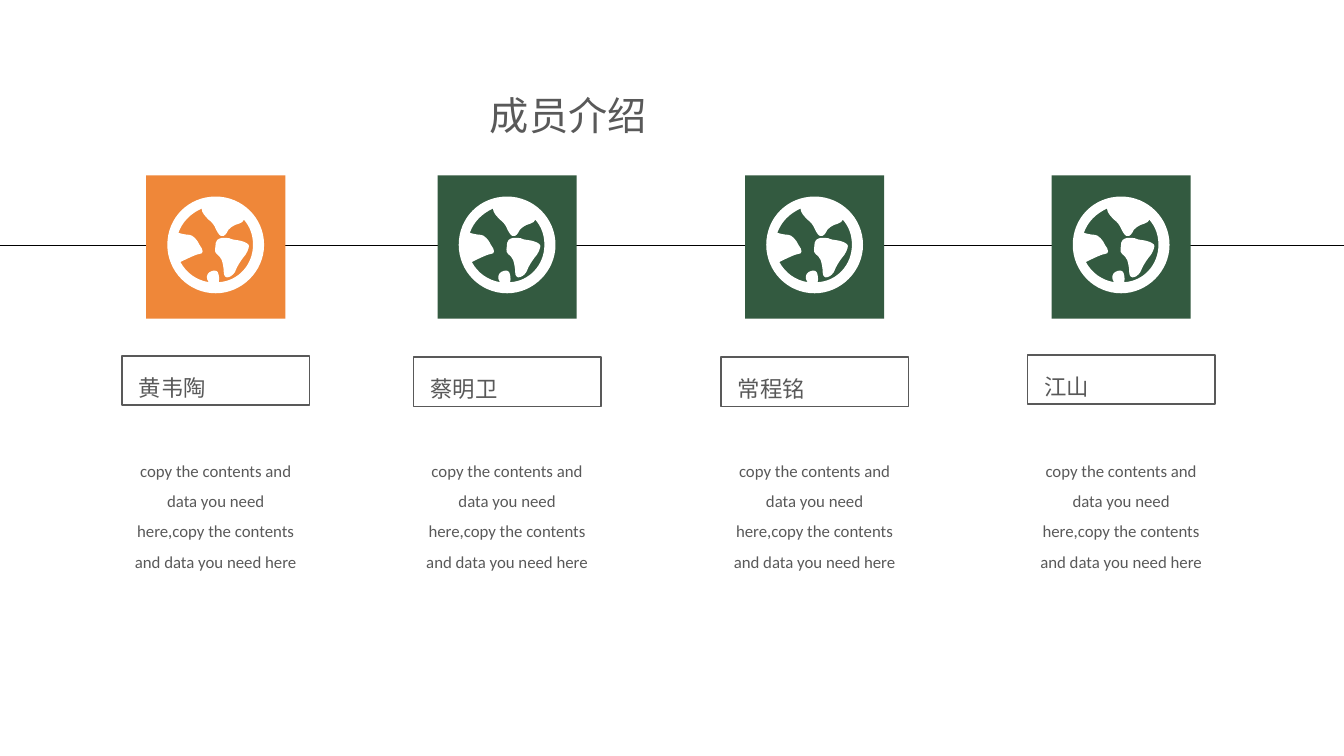
from lxml.etree import SubElement
from pptx import Presentation
from pptx.dml.color import RGBColor
from pptx.enum.shapes import MSO_CONNECTOR, MSO_SHAPE
from pptx.enum.text import MSO_ANCHOR, MSO_AUTO_SIZE as AutoSize, PP_ALIGN as Align
from pptx.oxml.ns import qn
from pptx.util import Inches, Pt

WIDTH, HEIGHT = 13.33, 7.5
GREEN, ORANGE, GREY, WHITE, BLACK = "335A40", "EF8739", "595959", "FFFFFF", "000000"
CHINESE, LATIN = "Noto Sans CJK SC", "Calibri"
TITLE = "成员介绍"
BIO = "copy the contents and data you need here,copy the contents and data you need here"

# Member columns: name, left edge, top of the name box, tile colour
COLUMN_WIDTH = 1.86
MEMBERS = [
    ("黄韦陶", 1.21, 3.53, ORANGE),
    ("蔡明卫", 4.10, 3.54, GREEN),
    ("常程铭", 7.15, 3.54, GREEN),
    ("江山", 10.19, 3.52, GREEN),
]
TILE_TOP, TILE_WIDTH, TILE_HEIGHT = 1.74, 1.38, 1.42
GLOBE_SIZE = 0.96
AXIS_Y = 2.43

# Globe outlines in hundredths of an inch: start point, then Bezier triples
DISC = [(48, 0), (21, 0), (0, 21), (0, 48), (0, 74), (21, 96), (48, 96),
        (74, 96), (96, 74), (96, 48), (96, 21), (74, 0), (48, 0)]
OCEAN = [(51, 85), (52, 81), (51, 77), (50, 75),
         (49, 73), (45, 73), (42, 75), (39, 77), (38, 81), (41, 85),
         (29, 83), (19, 76), (13, 65), (23, 60), (30, 57), (32, 57),
         (36, 57), (36, 53), (32, 48), (30, 43), (25, 38), (22, 38),
         (19, 38), (14, 37), (11, 36), (15, 25), (23, 17), (34, 12),
         (34, 16), (38, 20), (41, 23), (44, 25), (47, 29), (48, 32),
         (49, 34), (51, 38), (53, 39), (55, 40), (57, 39), (59, 36),
         (60, 32), (66, 28), (71, 27), (74, 26), (75, 25), (76, 23),
         (82, 30), (85, 38), (85, 48), (85, 68), (70, 84), (51, 85)]
CONTINENT = [(73, 44), (69, 43), (65, 43), (63, 42), (62, 41), (57, 41), (54, 41),
             (50, 42), (48, 44), (48, 46), (48, 50), (46, 55), (49, 57),
             (51, 58), (53, 61), (54, 63), (55, 66), (56, 71), (56, 75),
             (56, 79), (58, 81), (61, 80), (64, 79), (67, 76), (68, 73),
             (69, 70), (72, 65), (75, 61), (79, 57), (81, 51), (81, 49),
             (81, 47), (77, 45), (73, 44)]


def color(value):
    return RGBColor.from_string(value)


def paint(shape, fill=None, line=None):
    shape.shadow.inherit = False
    if fill:
        shape.fill.solid()
        shape.fill.fore_color.rgb = color(fill)
    else:
        shape.fill.background()
    if line:
        shape.line.color.rgb = color(line)
        shape.line.width = Pt(1)
    else:
        shape.line.fill.background()


def write(shape, text, size, font=CHINESE, align=Align.JUSTIFY):
    frame = shape.text_frame
    frame.word_wrap = True
    frame.auto_size = AutoSize.SHAPE_TO_FIT_TEXT
    frame.vertical_anchor = MSO_ANCHOR.TOP
    paragraph = frame.paragraphs[0]
    paragraph.alignment = align
    paragraph.line_spacing = 1.5
    run = paragraph.add_run()
    run.text = text
    run.font.size = Pt(size)
    run.font.name = font
    run.font.color.rgb = color(GREY)
    SubElement(run.font._element, qn("a:ea"), typeface=font)


def add_rectangle(shapes, left, top, width, height, **style):
    box = map(Inches, (left, top, width, height))
    paint(shapes.add_shape(MSO_SHAPE.RECTANGLE, *box), **style)


def bend(shape):
    """Turn every three straight segments into one Bezier curve."""
    segments = list(shape._element.iter(qn("a:lnTo")))
    for first, second, third in zip(segments[::3], segments[1::3], segments[2::3]):
        first.tag = qn("a:cubicBezTo")
        for segment in (second, third):
            first.append(segment[0])
            segment.getparent().remove(segment)


def add_globe(shapes, left, top):
    builder = shapes.build_freeform(*DISC[0], scale=Inches(0.01))
    builder.add_line_segments(DISC[1:], close=True)
    for outline in (OCEAN, CONTINENT):
        builder.move_to(*outline[0])
        builder.add_line_segments(outline[1:], close=True)
    globe = builder.convert_to_shape(Inches(left), Inches(top))
    bend(globe)
    paint(globe, fill=WHITE)


def add_axis(slide):
    y = Inches(AXIS_Y)
    axis = slide.shapes.add_connector(MSO_CONNECTOR.STRAIGHT, 0, y, Inches(WIDTH), y)
    axis.line.color.rgb = color(BLACK)
    axis.line.width = Pt(0.5)
    SubElement(axis._element.spPr, qn("a:effectLst"))


def add_title(slide):
    title = slide.shapes.title
    title.left, title.top, title.width, title.height = map(Inches, (4.76, 0.62, 3.36, 0.81))
    write(title, TITLE, 28)


def add_member(slide, name, left, name_top, tile_color):
    shapes = slide.shapes.add_group_shape().shapes
    center = left + COLUMN_WIDTH / 2
    # Tile with globe
    add_rectangle(shapes, center - TILE_WIDTH / 2, TILE_TOP, TILE_WIDTH, TILE_HEIGHT,
                  fill=tile_color)
    add_globe(shapes, center - GLOBE_SIZE / 2, AXIS_Y - GLOBE_SIZE / 2)
    # Framed name
    add_rectangle(shapes, left, name_top, COLUMN_WIDTH, 0.49, line=GREY)
    label = shapes.add_textbox(*map(Inches, (left + 0.07, name_top, 1.72, 0.5)))
    write(label, name, 16)
    # Description
    bio = shapes.add_textbox(*map(Inches, (left, 4.42, COLUMN_WIDTH, 1.61)))
    write(bio, BIO, 12, font=LATIN, align=Align.CENTER)


def main():
    presentation = Presentation()
    presentation.slide_width, presentation.slide_height = Inches(WIDTH), Inches(HEIGHT)
    slide = presentation.slides.add_slide(presentation.slide_layouts[5])
    add_axis(slide)
    for member in MEMBERS:
        add_member(slide, *member)
    add_title(slide)
    presentation.save("out.pptx")


if __name__ == "__main__":
    main()
